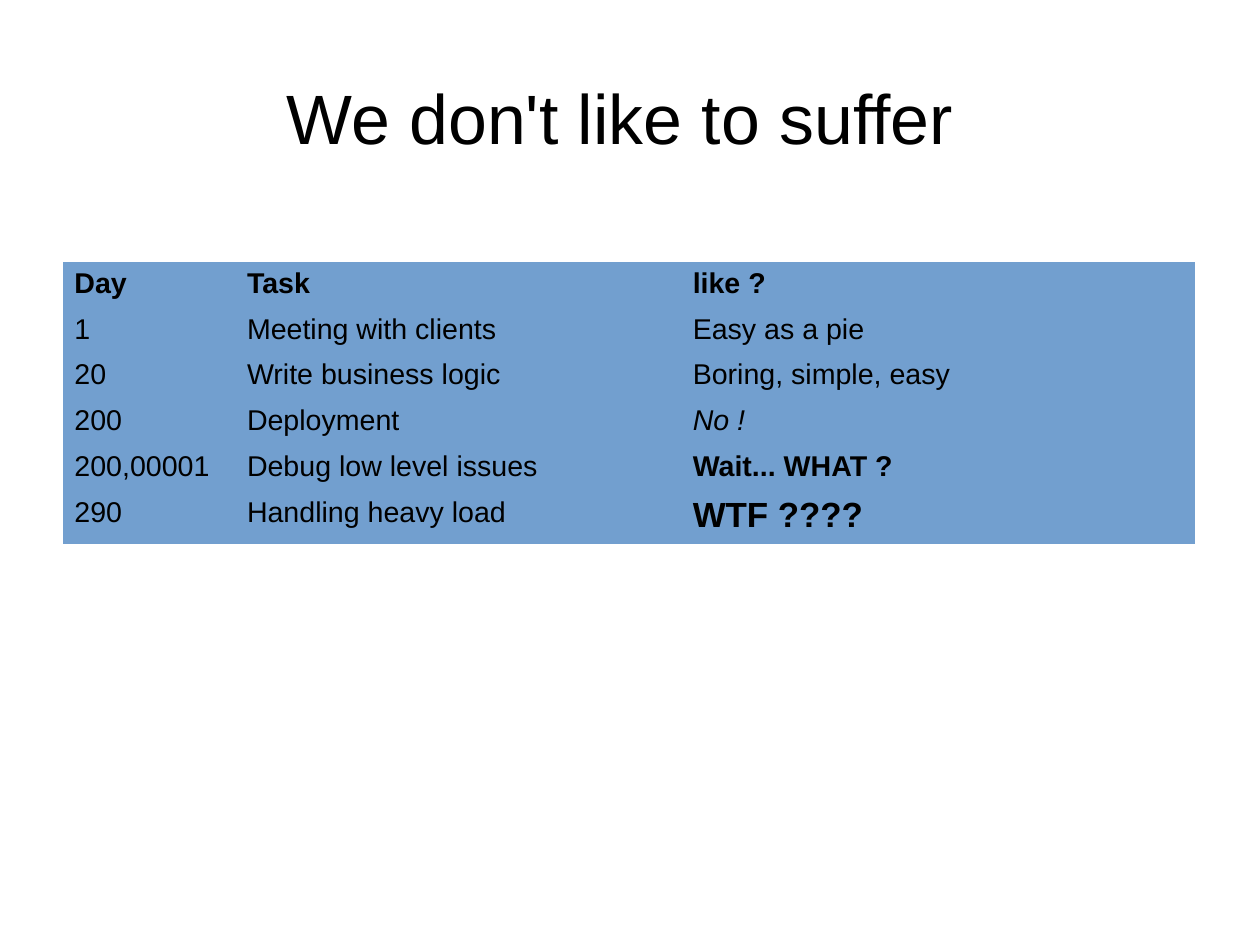
from pptx import Presentation, util as u
from pptx.dml.color import RGBColor
from pptx.enum import text
from pptx.oxml.ns import qn

WIDE, HIGH = u.Cm(28), u.Cm(21)
LEFT = int(0.05 * WIDE)
FONT = "Arial"
HUES = {"ink": "000000", "cell": "729FCF"}
PLAIN = "{2D5ABB26-0587-4C30-8999-92F81FD0307C}"  # no style, no grid

COLS = [1.51, 3.9, 4.49]
ROWS = [0.4] * 5 + [0.47]
TASKS = [
    ("Day", "Task", "like ?"),
    ("1", "Meeting with clients", "Easy as a pie"),
    ("20", "Write business logic", "Boring, simple, easy"),
    ("200", "Deployment", "No !"),
    ("200,00001", "Debug low level issues", "Wait... WHAT ?"),
    ("290", "Handling heavy load", "WTF ????"),
]
# Cells that differ from plain 18 point text, by row and column
LOOKS = {
    **{(0, col): {"bold": True} for col in range(len(COLS))},
    (3, 2): {"italic": True},
    (4, 2): {"bold": True},
    (5, 2): {"bold": True, "size": 22},
}


def hue(name):
    return RGBColor.from_string(HUES[name])


def add_run(para, words, size=18, bold=False, italic=False):
    run = para.add_run()
    run.text = words
    font = run.font
    font.name, font.size = FONT, u.Pt(size)
    font.bold, font.italic = bold, italic
    font.color.rgb = hue("ink")


def add_title(slide, words):
    title = slide.shapes.title
    title.left, title.top = LEFT, int(0.04 * HIGH)
    title.width, title.height = int(0.9 * WIDE), int(HIGH / 6)
    frame = title.text_frame
    frame.margin_left = frame.margin_right = 0
    frame.margin_top = frame.margin_bottom = 0
    frame.vertical_anchor = text.MSO_ANCHOR.MIDDLE
    frame.word_wrap = True
    para = frame.paragraphs[0]
    para.alignment = text.PP_ALIGN.CENTER
    add_run(para, words, size=44)


def add_grid(slide, top):
    frame = slide.shapes.add_table(
        len(ROWS), len(COLS), LEFT, u.Inches(top),
        u.Inches(sum(COLS)), u.Inches(sum(ROWS)))
    table = frame.table
    table.horz_banding = table.first_row = False
    frame._element.find(".//" + qn("a:tableStyleId")).text = PLAIN
    for col, width in zip(table.columns, COLS):
        col.width = u.Inches(width)
    for row, height in zip(table.rows, ROWS):
        row.height = u.Inches(height)
    for r, line in enumerate(TASKS):
        for c, words in enumerate(line):
            cell = table.cell(r, c)
            cell.fill.solid()
            cell.fill.fore_color.rgb = hue("cell")
            add_run(cell.text_frame.paragraphs[0], words,
                    **LOOKS.get((r, c), {}))


def main():
    deck = Presentation()
    deck.slide_width, deck.slide_height = WIDE, HIGH
    slide = deck.slides.add_slide(deck.slide_layouts[5])
    add_title(slide, "We don't like to suffer ")
    add_grid(slide, top=2.29)
    deck.save("out.pptx")


if __name__ == "__main__":
    main()
